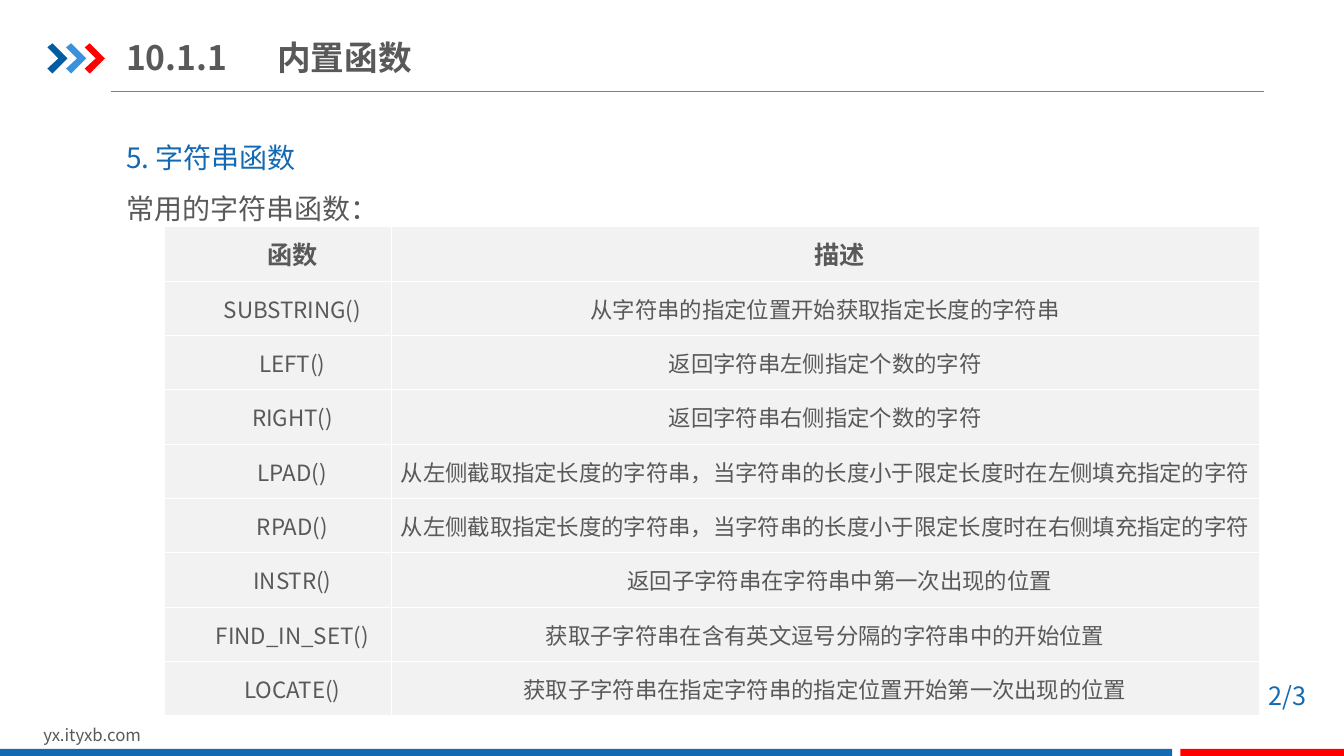
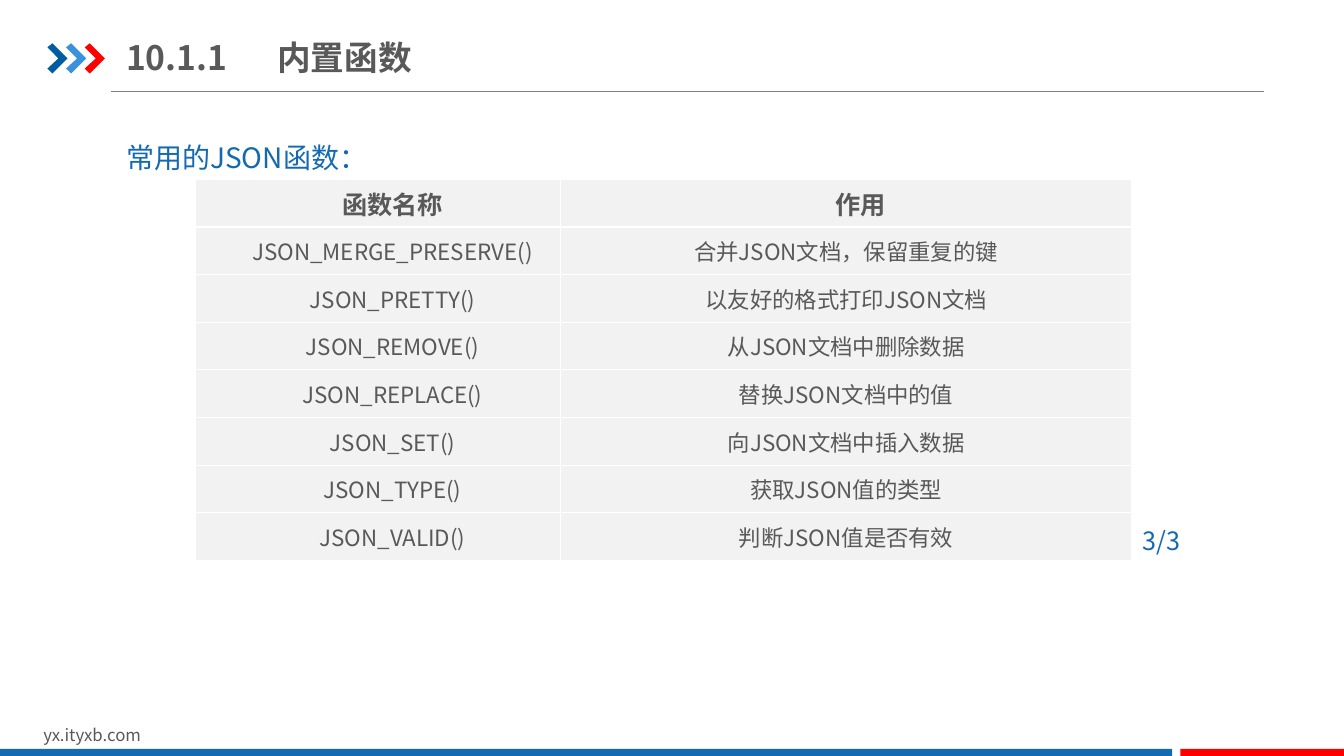
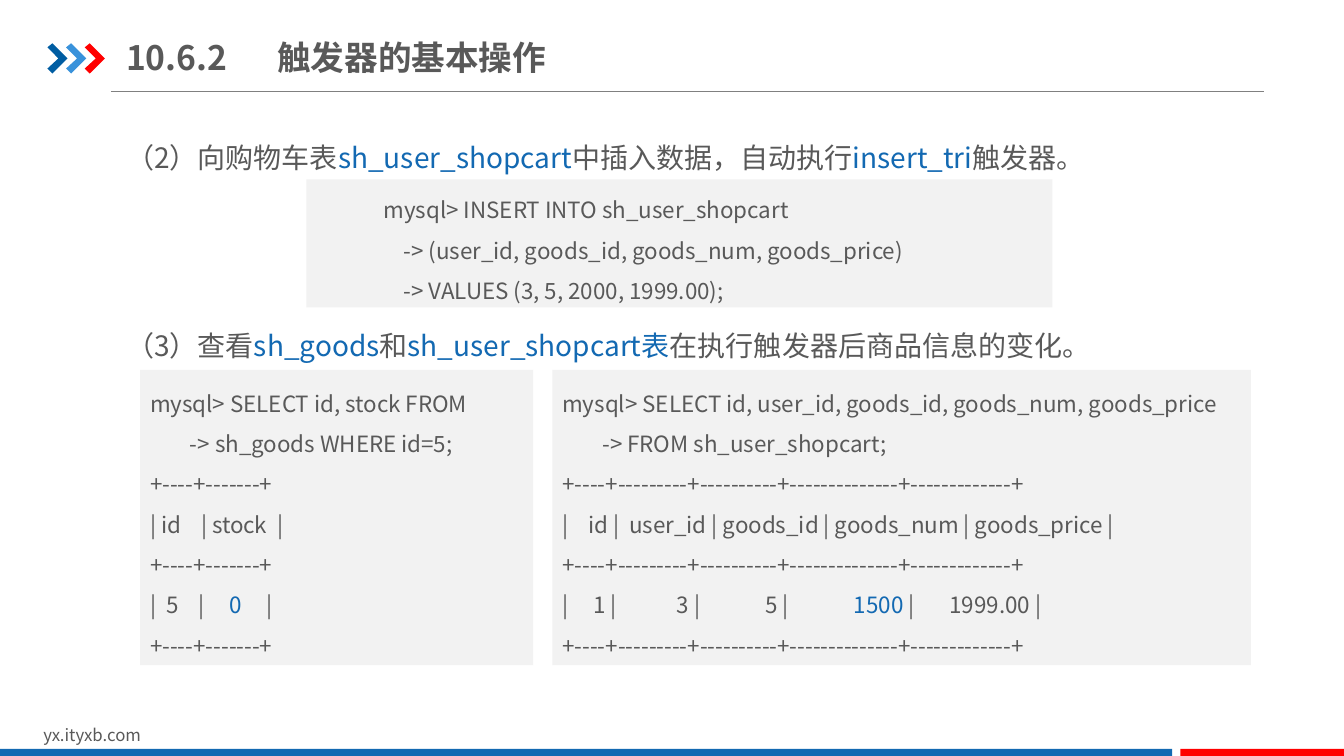
"""Build three slides on SQL built-in functions and triggers."""
from lxml import etree
from pptx import Presentation
from pptx.dml.color import RGBColor
from pptx.enum.shapes import MSO_CONNECTOR, MSO_SHAPE
from pptx.enum.text import MSO_ANCHOR, MSO_AUTO_SIZE, PP_ALIGN
from pptx.oxml.ns import qn
from pptx.util import Inches, Pt

RECT, STRAIGHT = MSO_SHAPE.RECTANGLE, MSO_CONNECTOR.STRAIGHT
TOP, MIDDLE = MSO_ANCHOR.TOP, MSO_ANCHOR.MIDDLE
LEFT, CENTER = PP_ALIGN.LEFT, PP_ALIGN.CENTER
FIXED = MSO_AUTO_SIZE.NONE


class Theme:
    font = "Noto Sans CJK SC"
    text = RGBColor(0x59, 0x59, 0x59)
    blue = RGBColor(0x13, 0x69, 0xB2)
    navy = RGBColor(0x00, 0x5D, 0xA2)
    sky = RGBColor(0x39, 0x92, 0xDB)
    red = RGBColor(0xFF, 0x00, 0x00)
    rule = RGBColor(0x80, 0x80, 0x80)
    panel = RGBColor(0xF2, 0xF2, 0xF2)
    title_size, body_size, head_size = Pt(24), Pt(20), Pt(18)
    code_size, foot_size = Pt(16), Pt(12)


prs = Presentation()
prs.slide_width, prs.slide_height = Inches(13.33), Inches(7.5)
COL, ROW = prs.slide_width / 100, prs.slide_height / 100


def box(x, y, w, h):
    """Turn percentages of the slide into left, top, width and height."""
    return int(x * COL), int(y * ROW), int(w * COL), int(h * ROW)


def write(tf, text, size, color=Theme.text, bold=False, align=LEFT, anchor=TOP,
          spacing=1.0, margin=0, indent=0, tab=None, wrap=True):
    """Fill a text frame line by line; backticks enclose blue words."""
    tf.word_wrap, tf.auto_size, tf.vertical_anchor = wrap, FIXED, anchor
    for i, line in enumerate(text.split("\n")):
        p = tf.add_paragraph() if i else tf.paragraphs[0]
        p.alignment, p.line_spacing, p.space_before = align, spacing, Pt(0)
        pPr = p._p.get_or_add_pPr()
        pPr.set("marL", str(int(margin)))
        pPr.set("indent", str(int(indent)))
        etree.SubElement(pPr, qn("a:buNone"))
        if tab:
            stops = etree.SubElement(pPr, qn("a:tabLst"))
            etree.SubElement(stops, qn("a:tab"), pos=str(int(tab)), algn="l")
        for j, part in enumerate(line.split("`")):
            if part:
                r = p.add_run()
                r.text = part
                r.font.name, r.font.size, r.font.bold = Theme.font, size, bold
                r.font.color.rgb = Theme.blue if j % 2 else color
                etree.SubElement(r.font._element, qn("a:ea"), typeface=Theme.font)


STRING_ROWS = [
    ("函数", "描述"),
    ("SUBSTRING()", "从字符串的指定位置开始获取指定长度的字符串"),
    ("LEFT()", "返回字符串左侧指定个数的字符"),
    ("RIGHT()", "返回字符串右侧指定个数的字符"),
    ("LPAD()", "从左侧截取指定长度的字符串，当字符串的长度小于限定长度时在左侧填充指定的字符"),
    ("RPAD()", "从左侧截取指定长度的字符串，当字符串的长度小于限定长度时在右侧填充指定的字符"),
    ("INSTR()", "返回子字符串在字符串中第一次出现的位置"),
    ("FIND_IN_SET()", "获取子字符串在含有英文逗号分隔的字符串中的开始位置"),
    ("LOCATE()", "获取子字符串在指定字符串的指定位置开始第一次出现的位置"),
]
JSON_ROWS = [
    ("函数名称", "作用"),
    ("JSON_MERGE_PRESERVE()", "合并JSON文档，保留重复的键"),
    ("JSON_PRETTY()", "以友好的格式打印JSON文档"),
    ("JSON_REMOVE()", "从JSON文档中删除数据"),
    ("JSON_REPLACE()", "替换JSON文档中的值"),
    ("JSON_SET()", "向JSON文档中插入数据"),
    ("JSON_TYPE()", "获取JSON值的类型"),
    ("JSON_VALID()", "判断JSON值是否有效"),
]
INSERT_CODE = """mysql> INSERT INTO sh_user_shopcart
    -> (user_id, goods_id, goods_num, goods_price)
    -> VALUES (3, 5, 2000, 1999.00);"""
STOCK_CODE = """mysql> SELECT id, stock FROM
        -> sh_goods WHERE id=5;
+----+-------+
| id    | stock  |
+----+-------+
|  5    |     `0 `    |
+----+-------+"""
CART_CODE = """mysql> SELECT id, user_id, goods_id, goods_num, goods_price
        -> FROM sh_user_shopcart;
+----+---------+----------+--------------+-------------+
|    id |  user_id | goods_id | goods_num | goods_price |
+----+---------+----------+--------------+-------------+
|     1 |            3 |             5 |             `1500 `|       1999.00 |
+----+---------+----------+--------------+-------------+"""

TITLE_CONTENT, TWO_CONTENT = prs.slide_layouts[1], prs.slide_layouts[3]
SLIDES = [
    dict(layout=TITLE_CONTENT, title="10.1.1\t内置函数",
         bodies=[(15.73, 14.8, "`5. 字符串函数`\n常用的字符串函数：")],
         table=(STRING_ROWS, 12.23, 30, (16.88, 64.6), 7.19),
         mark=("2/3", 93.68, 89.33), panels=[]),
    dict(layout=TITLE_CONTENT, title="10.1.1\t内置函数",
         bodies=[(15.73, 7.33, "`常用的JSON函数：`")],
         table=(JSON_ROWS, 14.55, 23.73, (27.15, 42.53), 6.3),
         mark=("3/3", 84.3, 68.8), panels=[]),
    dict(layout=TWO_CONTENT, title="10.6.2\t触发器的基本操作",
         bodies=[
             (15.73, 8.13, "（2）向购物车表`sh_user_shopcart`中插入数据，自动执行`insert_tri`触发器。"),
             (40.53, 8.13, "（3）查看`sh_goods`和`sh_user_shopcart表`在执行触发器后商品信息的变化。"),
         ],
         table=None, mark=None,
         panels=[(INSERT_CODE, (22.8, 23.73, 55.5, 16.93), 5 * COL),
                 (STOCK_CODE, (10.43, 48.93, 29.25, 39.07), 0),
                 (CART_CODE, (41.1, 48.93, 51.98, 39.07), 0)]),
]

for data in SLIDES:
    s = prs.slides.add_slide(data["layout"])
    title, *bodies = s.placeholders
    title.left, title.top, title.width, title.height = box(9.38, 3.87, 43, 7.33)
    title.text_frame.margin_left = title.text_frame.margin_right = 0
    write(title.text_frame, data["title"], Theme.title_size, bold=True,
          anchor=MIDDLE, tab=9.3 * COL)

    for sp, (y, h, text) in zip(bodies, data["bodies"]):
        sp.left, sp.top, sp.width, sp.height = box(8.63, y, 85.5, h)
        write(sp.text_frame, text, Theme.body_size, spacing=1.5)

    if data["table"]:
        rows, x, y, widths, row_h = data["table"]
        frame = s.shapes.add_table(len(rows), 2, *box(x, y, sum(widths), row_h * len(rows)))
        table = frame.table
        table.first_row = table.horz_banding = False
        for column, w in zip(table.columns, widths):
            column.width = int(w * COL)
        for i, row in enumerate(rows):
            table.rows[i].height = int(row_h * ROW)
            for j, text in enumerate(row):
                cell = table.cell(i, j)
                cell.margin_left = cell.margin_right = Inches(0.07)
                cell.margin_top = cell.margin_bottom = 0
                cell.vertical_anchor = MIDDLE
                shifted = i == 0 or j == 0 or row[0] == "INSTR()"
                write(cell.text_frame, text, Theme.code_size if i else Theme.head_size,
                      bold=i == 0, align=CENTER, anchor=MIDDLE,
                      indent=2.18 * COL if shifted else 0)
                tcPr = cell._tc.get_or_add_tcPr()
                for side in ("a:lnL", "a:lnR", "a:lnT", "a:lnB"):
                    ln = etree.SubElement(tcPr, qn(side), w=str(Pt(1)))
                    fill = etree.SubElement(ln, qn("a:solidFill"))
                    etree.SubElement(fill, qn("a:srgbClr"), val="FFFFFF")
                cell.fill.solid()
                cell.fill.fore_color.rgb = Theme.panel

    if data["mark"]:
        text, x, y = data["mark"]
        sp = s.shapes.add_textbox(*box(x, y, 4.58, 5.33))
        write(sp.text_frame, text, Theme.head_size, color=Theme.blue, wrap=False)

    for text, place, margin in data["panels"]:
        sp = s.shapes.add_shape(RECT, *box(*place))
        sp.shadow.inherit = False
        sp.fill.solid()
        sp.fill.fore_color.rgb = Theme.panel
        sp.line.fill.background()
        write(sp.text_frame, text, Theme.code_size, anchor=MIDDLE,
              spacing=1.5, margin=margin)

rule = s.shapes.add_connector(STRAIGHT, int(8.25 * COL), int(12.13 * ROW),
                              int(94.05 * COL), int(12.13 * ROW))
rule.line.color.rgb, rule.line.width = Theme.rule, Pt(0.75)
etree.SubElement(rule._element.spPr, qn("a:effectLst"))

CHEVRON = [(0, 6.27), (0.37, 5.73), (1.5, 7.73), (0.37, 9.73), (0, 9.07), (0.82, 7.73)]
filled = []
for i, color in enumerate((Theme.navy, Theme.sky, Theme.red)):
    points = [(int((3.53 + 1.39 * i + x) * COL), int(y * ROW)) for x, y in CHEVRON]
    outline = s.shapes.build_freeform(*points[0])
    outline.add_line_segments(points[1:], close=True)
    filled.append((outline.convert_to_shape(), color))
chevrons = s.shapes.add_group_shape([sp for sp, color in filled])

foot = s.shapes.add_textbox(*box(2.48, 95.2, 23.85, 4))
write(foot.text_frame, "yx.ityxb.com", Theme.foot_size)

bands = []
for x, w, color in ((0, 87.22, Theme.blue), (87.83, 12.17, Theme.red)):
    band = s.shapes.add_shape(RECT, *box(x, 99.07, w, 0.93))
    bands.append(band)
    filled.append((band, color))

for sp, color in filled:
    sp.shadow.inherit = False
    sp.fill.solid()
    sp.fill.fore_color.rgb = color
    sp.line.fill.background()

master_tree = prs.slide_master.element.cSld.spTree
for sp in (rule, chevrons, foot, *bands):
    master_tree.append(sp.element)
for n, props in enumerate(master_tree.xpath(".//p:cNvPr"), 1):
    props.set("id", str(n))

prs.save("out.pptx")
